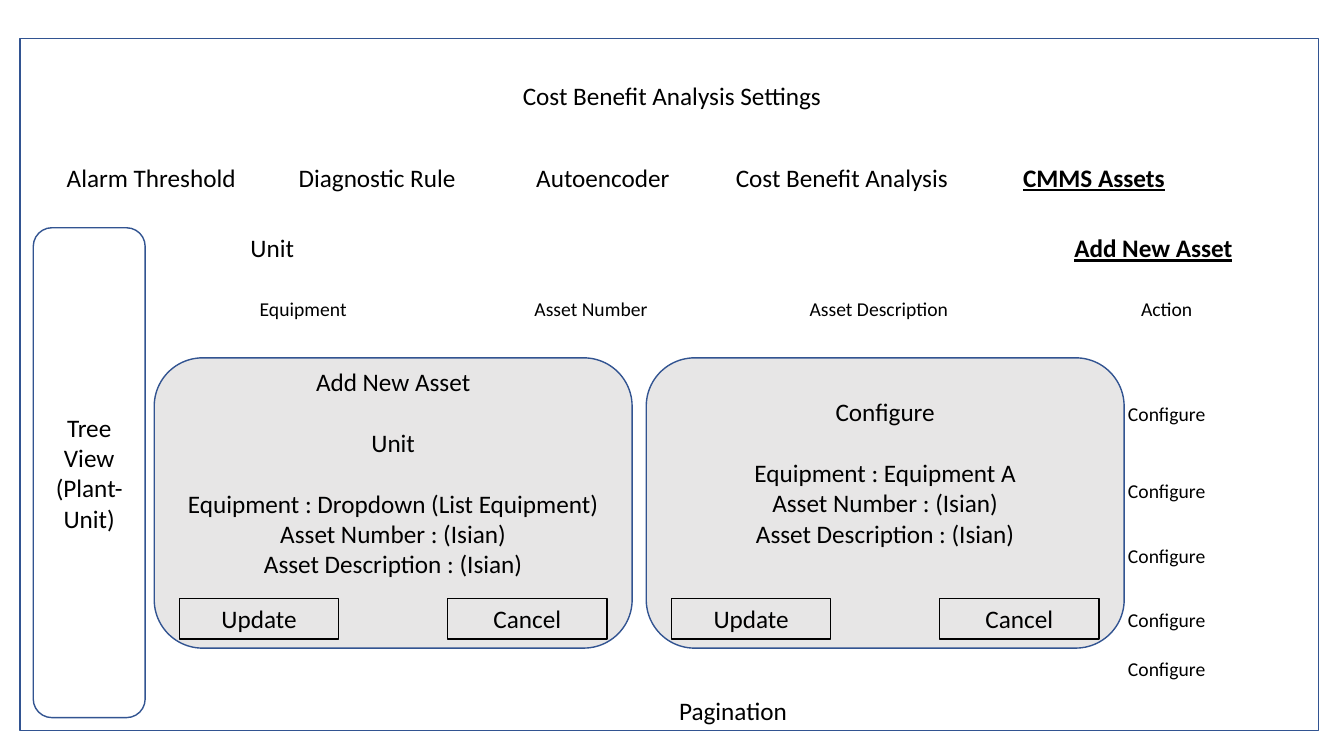
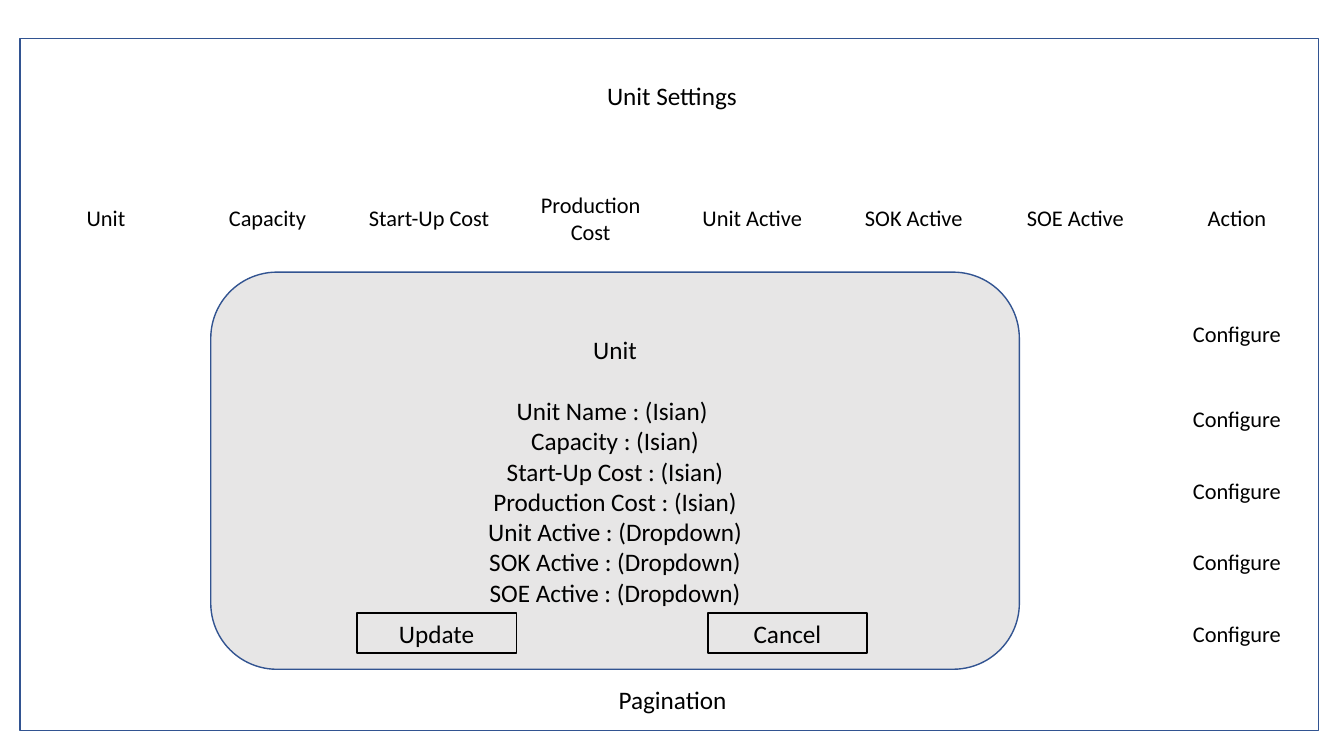
"""Build two wireframe slides for settings pages."""
from pptx import Presentation
from pptx.dml.color import RGBColor
from pptx.enum.shapes import MSO_SHAPE as Form
from pptx.enum.text import MSO_ANCHOR as Anchor, MSO_AUTO_SIZE as Auto, PP_ALIGN as Align
from pptx.util import Inches, Pt

BLACK = RGBColor(0x00, 0x00, 0x00)
BLUE = RGBColor(0x32, 0x54, 0x91)
GREY = RGBColor(0xE7, 0xE6, 0xE6)
FONT = "Calibri"
SIZE = 18
LINE = 22
HIGH = 0.4


def write(para, text, size=SIZE, strong=False):
    para.alignment = Align.CENTER
    for num, part in enumerate(text.split("\n")):
        if num:
            para.add_line_break()
        run = para.add_run()
        run.text = part
        font = run.font
        font.name, font.size, font.color.rgb = FONT, Pt(size), BLACK
        font.bold = font.underline = strong


def label(slide, text, left, top, width, strong=False):
    box = slide.shapes.add_textbox(*map(Inches, (left, top, width, HIGH)))
    frame = box.text_frame
    frame.word_wrap = True
    frame.auto_size = Auto.SHAPE_TO_FIT_TEXT
    write(frame.paragraphs[0], text, strong=strong)


def block(shapes, form, area, fill=None, line=BLUE, texts=(), gaps=()):
    shape = shapes.add_shape(form, *map(Inches, area))
    shape.shadow.inherit = False
    if fill is None:
        shape.fill.background()
    else:
        shape.fill.solid()
        shape.fill.fore_color.rgb = fill
    shape.line.color.rgb = line
    shape.line.width = Pt(1)
    frame = shape.text_frame
    frame.word_wrap = True
    frame.vertical_anchor = Anchor.MIDDLE
    for num, text in enumerate(texts):
        para = frame.add_paragraph() if num else frame.paragraphs[0]
        if num in gaps:
            para.space_before = Pt(LINE)
        write(para, text)
    return shape


def dialog(slide, area, texts, gaps, spots, drop, foot=0.05):
    shapes = slide.shapes.add_group_shape().shapes
    panel = block(shapes, Form.ROUNDED_RECTANGLE, area, GREY, BLUE, texts, gaps)
    panel.text_frame.margin_bottom = Inches(foot)
    left, top = area[:2]
    for text, spot in zip(("Update", "Cancel"), spots):
        place = (left + spot, top + drop, 1.58, HIGH)
        block(shapes, Form.RECTANGLE, place, GREY, BLACK, [text])


def grid(slide, area, heads, highs, size):
    last = len(heads) - 1
    table = slide.shapes.add_table(len(highs), len(heads), *map(Inches, area)).table
    for row, high in zip(table.rows, highs):
        row.height = Inches(high)
    for num, row in enumerate(table.rows):
        for col, cell in enumerate(row.cells):
            cell.fill.background()
            cell.vertical_anchor = Anchor.MIDDLE
            if num == 0 or col == last:
                text = "Configure" if num else heads[col]
                write(cell.text_frame.paragraphs[0], text, size)
            else:
                cell.margin_top = cell.margin_bottom = 0


def page(deck, title):
    slide = deck.slides.add_slide(deck.slide_layouts[6])
    block(slide.shapes, Form.RECTANGLE, (0.2, 0.38, 12.88, 6.87))
    label(slide, title, 4.78, 0.75, 3.77)
    return slide


def assets(deck):
    slide = page(deck, "Cost Benefit Analysis Settings")
    left = 0.38
    tabs = (("Alarm Threshold", 2.24), ("Diagnostic Rule", 2.24), ("Autoencoder", 2.24),
            ("Cost Benefit Analysis", 2.5), ("CMMS Assets", 2.5))
    for text, width in tabs:
        label(slide, text, left, 1.56, width, text == "CMMS Assets")
        left += width
    heads = ("Equipment", "Asset Number", "Asset Description", "Action")
    grid(slide, (1.58, 2.48, 11.42, 4.35), heads, (1.19, 0.89, 0.64, 0.64, 0.64, 0.26), 14)
    block(slide.shapes, Form.ROUNDED_RECTANGLE, (0.33, 2.26, 1.11, 4.86),
          texts=["Tree View\n(Plant-Unit)"])
    label(slide, "Pagination", 6.15, 6.85, 2.24)
    label(slide, "Unit", 1.58, 2.26, 2.24)
    label(slide, "Add New Asset", 10.19, 2.26, 2.5, True)
    fields = ["Asset Number : (Isian)", "Asset Description : (Isian)"]
    panels = (
        (1.53, ["Add New Asset", "Unit", "Equipment : Dropdown (List Equipment)"], (1, 2)),
        (6.41, ["Configure", "Equipment : Equipment A"], (1,)),
    )
    for left, texts, gaps in panels:
        dialog(slide, (left, 3.55, 4.74, 2.88), texts + fields, gaps, (0.25, 2.91), 2.39, 0.66)


def units(deck):
    slide = page(deck, "Unit Settings")
    heads = ("Unit", "Capacity", "Start-Up Cost", "Production Cost",
             "Unit Active", "SOK Active", "SOE Active", "Action")
    grid(slide, (0.25, 1.52, 12.82, 5.12), heads, (1.31, 0.98) + (0.71,) * 4, 16)
    label(slide, "Pagination", 5.55, 6.74, 2.24)
    texts = ["Unit", "Unit Name : (Isian) ", "Capacity : (Isian)", "Start-Up Cost : (Isian)",
             "Production Cost : (Isian)", "Unit Active : (Dropdown)",
             "SOK Active : (Dropdown)", "SOE Active : (Dropdown)"]
    dialog(slide, (2.09, 2.7, 8.02, 3.94), texts, (1,), (1.45, 4.93), 3.38)


def main():
    deck = Presentation()
    deck.slide_width, deck.slide_height = Inches(13.33), Inches(7.5)
    assets(deck)
    units(deck)
    deck.save("out.pptx")


if __name__ == "__main__":
    main()
